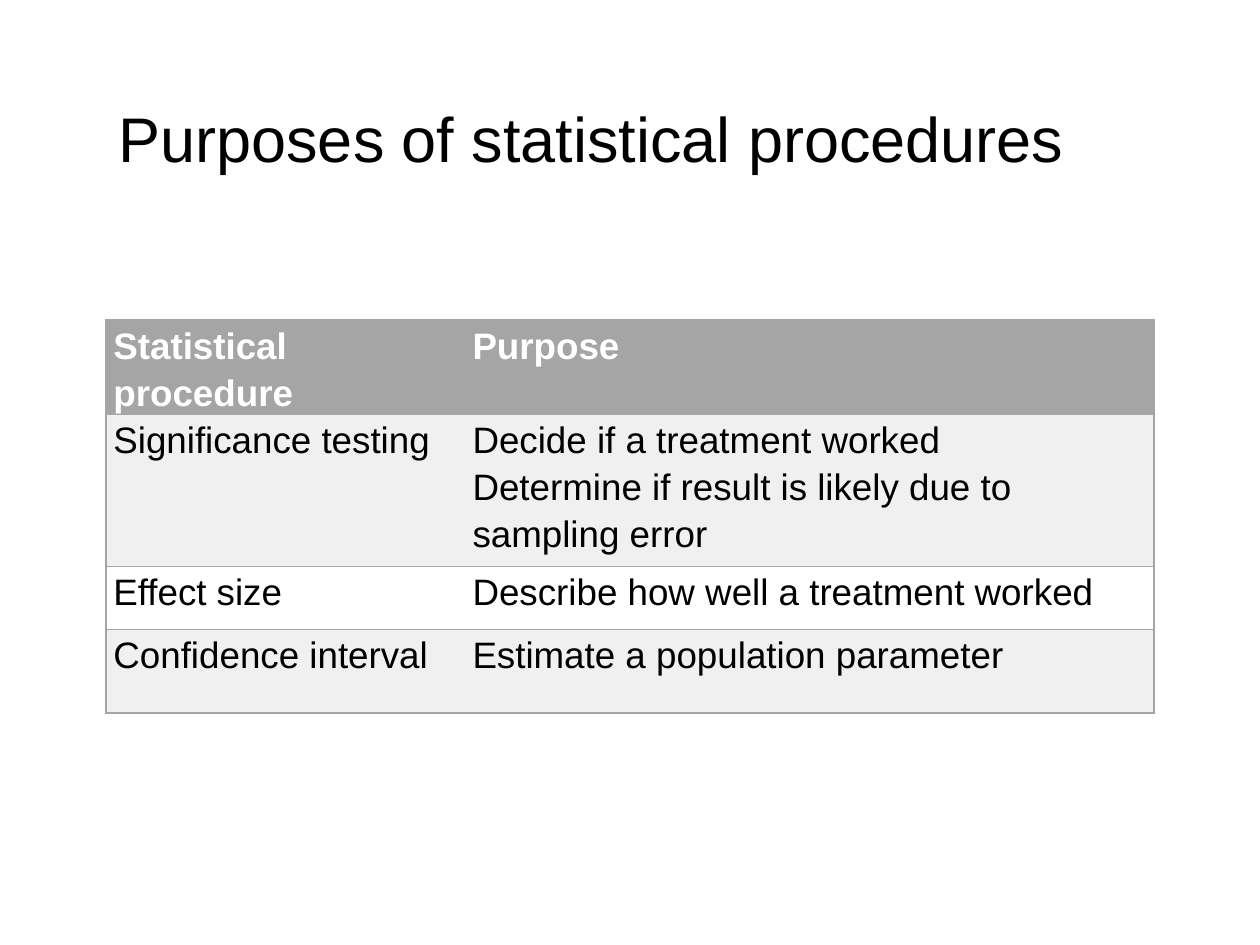
from lxml.etree import SubElement
from pptx import Presentation
from pptx.dml.color import RGBColor
from pptx.enum.text import MSO_ANCHOR, PP_ALIGN
from pptx.oxml.ns import qn
from pptx.util import Inches, Pt

GRAY, PALE, WHITE, BLACK = "A5A5A5", "F0F0F0", "FFFFFF", "000000"
ROWS = [
    ("Statistical procedure", "Purpose"),
    ("Significance testing",
     "Decide if a treatment worked\n"
     "Determine if result is likely due to sampling error"),
    ("Effect size", "Describe how well a treatment worked"),
    ("Confidence interval", "Estimate a population parameter"),
]
FILLS = [GRAY, PALE, WHITE, PALE]
WIDTHS = [2.85, 5.47]
HEIGHTS = [0.66, 1.21, 0.5, 0.66]


def color(text):
    return RGBColor.from_string(text)


def apply(item, values):
    for name, value in values.items():
        setattr(item, name, value)


class Deck:
    font = {"name": "Arial"}
    inset = {"margin_left": Inches(0.06), "margin_right": Inches(0.06),
             "margin_top": 0, "margin_bottom": 0}

    def __init__(self, width, height):
        self.file = Presentation()
        apply(self.file, {"slide_width": Inches(width),
                          "slide_height": Inches(height)})
        self.slide = self.file.slides.add_slide(self.file.slide_layouts[5])

    def label(self, frame, text, tint, font, para):
        frame.text = text
        for line in frame.paragraphs:
            apply(line, para)
            for run in line.runs:
                apply(run.font, {**self.font, **font})
                run.font.color.rgb = color(tint)

    def title(self, text, left, top, width, height):
        shape = self.slide.shapes.title
        apply(shape, {"left": Inches(left), "top": Inches(top),
                      "width": Inches(width), "height": Inches(height)})
        apply(shape.text_frame, {"word_wrap": True,
                                 "vertical_anchor": MSO_ANCHOR.MIDDLE})
        self.label(shape.text_frame, text, BLACK, {"size": Pt(36)},
                   {"alignment": PP_ALIGN.LEFT, "line_spacing": 0.9})

    def border(self, cell, sides):
        props = cell._tc.get_or_add_tcPr()
        for side in "LRTB":
            shown = side in sides
            line = SubElement(props, qn(f"a:ln{side}"),
                              w=str(Pt(1) if shown else 0))
            if shown:
                fill = SubElement(line, qn("a:solidFill"))
                SubElement(fill, qn("a:srgbClr"), val=GRAY)
            else:
                SubElement(line, qn("a:noFill"))

    def table(self, left, top):
        table = self.slide.shapes.add_table(
            len(ROWS), len(WIDTHS), Inches(left), Inches(top),
            Inches(sum(WIDTHS)), Inches(sum(HEIGHTS))).table
        for col, width in zip(table.columns, WIDTHS):
            col.width = Inches(width)
        for r, (texts, height, fill) in enumerate(zip(ROWS, HEIGHTS, FILLS)):
            table.rows[r].height = Inches(height)
            head = r == 0
            for c, text in enumerate(texts):
                cell = table.cell(r, c)
                apply(cell, self.inset)
                self.border(cell, "RTB" if c else "LTB")
                cell.fill.solid()
                cell.fill.fore_color.rgb = color(fill)
                self.label(cell.text_frame, text, WHITE if head else BLACK,
                           {"size": Pt(21), "bold": head},
                           {"line_spacing": 1.15})


def main():
    deck = Deck(10, 7.5)
    deck.title("Purposes of statistical procedures", 0.84, 0.4, 8.62, 1.45)
    deck.table(0.84, 2.54)
    deck.file.save("out.pptx")


if __name__ == "__main__":
    main()
